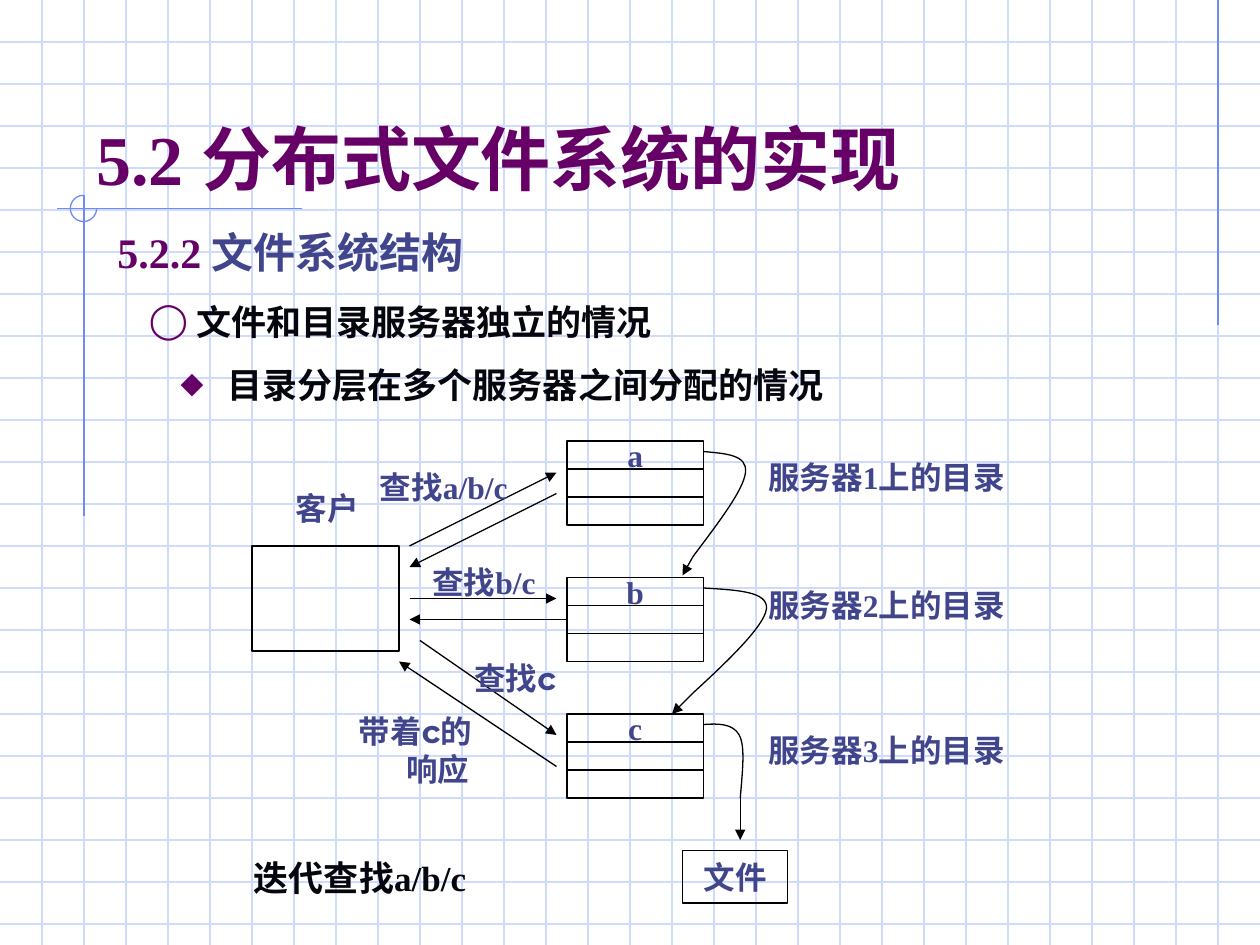
from typing import NamedTuple

from lxml.etree import SubElement
from pptx import Presentation
from pptx.dml.color import RGBColor
from pptx.enum.shapes import MSO_CONNECTOR, MSO_SHAPE
from pptx.enum.text import MSO_ANCHOR, PP_ALIGN
from pptx.oxml.ns import qn
from pptx.util import Cm, Pt

SERIF, SANS, CHINESE = "Times New Roman", "Montserrat", "Noto Sans CJK SC"
PURPLE, BLUE, INK, BLACK = "660066", "40458C", "06070E", "000000"
GRID, ORNAMENT = "CFDBFD", "6F89F7"
HANGING = Cm(0.95)


class Box(NamedTuple):
    """Area of the slide, in modules of a twelfth of an inch."""
    left: float
    top: float
    width: float
    height: float

    def inner(self, left, top, width, height):
        """Return a box placed relative to this one."""
        return Box(self.left + left, self.top + top, width, height)

    def point(self, x, y):
        """Return a point of this box as slide lengths."""
        return module(self.left + x), module(self.top + y)

    def lengths(self):
        """Return left, top, width and height as slide lengths."""
        return [module(value) for value in self]


class Run(NamedTuple):
    """Words with one look."""
    words: str
    size: float = 18
    latin: str = SANS
    color: str = BLUE
    asian: str = SANS


def module(count):
    """Convert modules to a length."""
    return Cm(count * 2.54 / 12)


def rgb(color):
    """Convert a hex string to a colour."""
    return RGBColor.from_string(color)


def outline(shape, color):
    """Give a shape a thin line."""
    shape.line.color.rgb = rgb(color)
    shape.line.width = Pt(0.75)


def add_line(shapes, start, end, color, arrow=False):
    """Draw a straight line, with an arrowhead at its end if asked."""
    line = shapes.add_connector(MSO_CONNECTOR.STRAIGHT, *start, *end)
    outline(line, color)
    if arrow:
        SubElement(line.line._get_or_add_ln(), qn("a:tailEnd"), type="triangle")
    SubElement(line._element.spPr, qn("a:effectLst"))


def add_outline_shape(shapes, kind, box, color):
    """Draw an unfilled preset shape."""
    shape = shapes.add_shape(kind, *box.lengths())
    shape.shadow.inherit = False
    shape.fill.background()
    outline(shape, color)
    return shape


def add_curve(shapes, points, color):
    """Draw cubic curves through a start and triples of points."""
    builder = shapes.build_freeform(*points[0])
    builder.add_line_segments(points[1:], close=False)
    shape = builder.convert_to_shape()
    shape.shadow.inherit = False
    shape.fill.background()
    outline(shape, color)
    steps = shape._element.xpath(".//a:lnTo")
    for index in range(0, len(steps), 3):
        curve = steps[index].makeelement(qn("a:cubicBezTo"))
        steps[index].addprevious(curve)
        for step in steps[index:index + 3]:
            curve.append(step[0])
            step.getparent().remove(step)


def add_runs(paragraph, runs):
    """Write bold runs into a paragraph."""
    for item in runs:
        run = paragraph.add_run()
        run.text = item.words
        run.font.size = Pt(item.size)
        run.font.bold = True
        run.font.color.rgb = rgb(item.color)
        run.font.name = item.latin
        SubElement(run._r.get_or_add_rPr(), qn("a:ea"), typeface=item.asian)


def add_text(shapes, box, runs, bullet=None, hanging=True):
    """Place one paragraph with a hanging indent."""
    frame = shapes.add_textbox(*box.lengths()).text_frame
    frame.word_wrap = True
    paragraph = frame.paragraphs[0]
    properties = paragraph._p.get_or_add_pPr()
    if hanging:
        properties.set("marL", str(HANGING))
        properties.set("indent", str(-HANGING))
    if bullet:
        color = SubElement(properties, qn("a:buClr"))
        SubElement(color, qn("a:srgbClr"), val=PURPLE)
        SubElement(properties, qn("a:buFont"), typeface=SERIF)
        SubElement(properties, qn("a:buChar"), char=bullet)
    add_runs(paragraph, runs)
    return frame


def add_labelled_box(shapes, box, run):
    """Draw a box with a word in its middle."""
    frame = add_outline_shape(shapes, MSO_SHAPE.RECTANGLE, box, BLACK).text_frame
    frame.word_wrap = False
    frame.vertical_anchor = MSO_ANCHOR.MIDDLE
    frame.paragraphs[0].alignment = PP_ALIGN.CENTER
    add_runs(frame.paragraphs[0], [run])


def add_background(slide, box):
    """Draw the squared paper and its ornaments."""
    shapes = slide.shapes.add_group_shape().shapes
    for y in range(4, box.height, 4):
        add_line(shapes, box.point(0, y), box.point(box.width, y), GRID)
    for x in range(4, box.width, 4):
        add_line(shapes, box.point(x, 0), box.point(x, box.height), GRID)
    for start, end in [((116, 0), (116, 31)), ((28.8, 19.85), (5.4, 19.85)),
                       ((8, 18.6), (8, 49.1))]:
        add_line(shapes, box.point(*start), box.point(*end), ORNAMENT)
    arc = add_outline_shape(shapes, MSO_SHAPE.ARC, box.inner(6.7, 18.6, 2.5, 2.5), ORNAMENT)
    arc.adjustments[0], arc.adjustments[1] = 0, 162


def add_headings(slide, box):
    """Write the title, the section and its two points."""
    title = add_text(slide.shapes, box.inner(0, 0, 102, 15), [
        Run("5.2 ", 40, SERIF, PURPLE),
        Run("分布式文件系统的实现", 40, CHINESE, PURPLE, CHINESE)], hanging=False)
    title.vertical_anchor = MSO_ANCHOR.BOTTOM
    title.margin_bottom = 0
    add_text(slide.shapes, box.inner(2, 17, 105, 31.7), [
        Run("5.2.2 ", 24, SERIF, PURPLE), Run("文件系统结构", 24)])
    add_text(slide.shapes, box.inner(5, 24, 99, 5.3),
             [Run("文件和目录服务器独立的情况", 20, SERIF, INK)], "◯")
    add_text(slide.shapes, box.inner(8, 30, 96, 10),
             [Run("目录分层在多个服务器之间分配的情况", 20, SANS, INK)], "⬥")


def add_server(shapes, box, name, number, label_top):
    """Draw a directory of three rows and its label."""
    row = box.height / 3
    add_labelled_box(shapes, box.inner(0, 0, box.width, row), Run(name, latin=SERIF))
    for index in (1, 2):
        add_outline_shape(shapes, MSO_SHAPE.RECTANGLE,
                          box.inner(0, index * row, box.width, row), BLACK)
    add_text(shapes, box.inner(18, label_top, 27, 4.8),
             [Run(f"服务器{number}上的目录", latin=SERIF)])


def add_lookup_diagram(slide, box):
    """Draw the client, the servers and the lookups between them."""
    shapes = slide.shapes.add_group_shape().shapes
    for index, (name, label_top) in enumerate([("a", 1), ("b", 0.2), ("c", 1)]):
        add_server(shapes, box.inner(30, 13 * index, 13, 8), name, index + 1, label_top)
    add_outline_shape(shapes, MSO_SHAPE.RECTANGLE, box.inner(0, 10, 14, 10), BLACK)
    add_labelled_box(shapes, box.inner(41, 39, 10, 5), Run("文件"))

    arrows = [((15, 10), (29, 3)), ((29, 5), (15, 12)), ((15, 15), (29, 15)),
              ((30, 17), (15, 17)), ((16, 19), (29, 28)), ((29, 31), (14, 21)),
              ((42, 11), (41, 12.8)), ((42, 24), (40, 26)), ((46.5, 34), (46.5, 38))]
    for start, end in arrows:
        add_line(shapes, box.point(*start), box.point(*end), BLACK, arrow=True)

    curves = [
        [(43, 1), (45.1, 1.2), (47.2, 1.3), (47, 3), (46.8, 4.7), (44.4, 7.8), (42, 11)],
        [(43, 14), (46.1, 14.2), (49.2, 14.3), (49, 16), (48.8, 17.6), (45.4, 20.9), (42, 24)],
        [(43, 27), (44.4, 26.9), (45.8, 26.9), (46.4, 28), (47, 29.1), (46.7, 31.5), (46.5, 34)]]
    for curve in curves:
        add_curve(shapes, [box.point(*point) for point in curve], BLACK)

    labels = [((3, 4, 14, 4.8), [Run("客户")]),
              ((11, 2, 19, 4.8), [Run("查找"), Run("a/b/c", latin=SERIF)]),
              ((16, 11, 19, 4.8), [Run("查找"), Run("b/c", latin=SERIF)]),
              ((20, 20.2, 19, 4.8), [Run("查找c")]),
              ((9, 25.2, 15, 8.4), [Run("带着c的响应")]),
              ((-1, 39, 26, 5.3), [Run("迭代查找a/b/c", 20, SERIF, INK)])]
    for place, runs in labels:
        add_text(shapes, box.inner(*place), runs)


def main():
    """Build the slide and save it."""
    presentation = Presentation()
    presentation.slide_width, presentation.slide_height = module(120), module(90)
    slide = presentation.slides.add_slide(presentation.slide_layouts[6])
    add_background(slide, Box(0, 0, 120, 90))
    add_headings(slide, Box(8, 4, 107, 49))
    add_lookup_diagram(slide, Box(24, 42, 75, 44))
    presentation.save("out.pptx")


if __name__ == "__main__":
    main()
